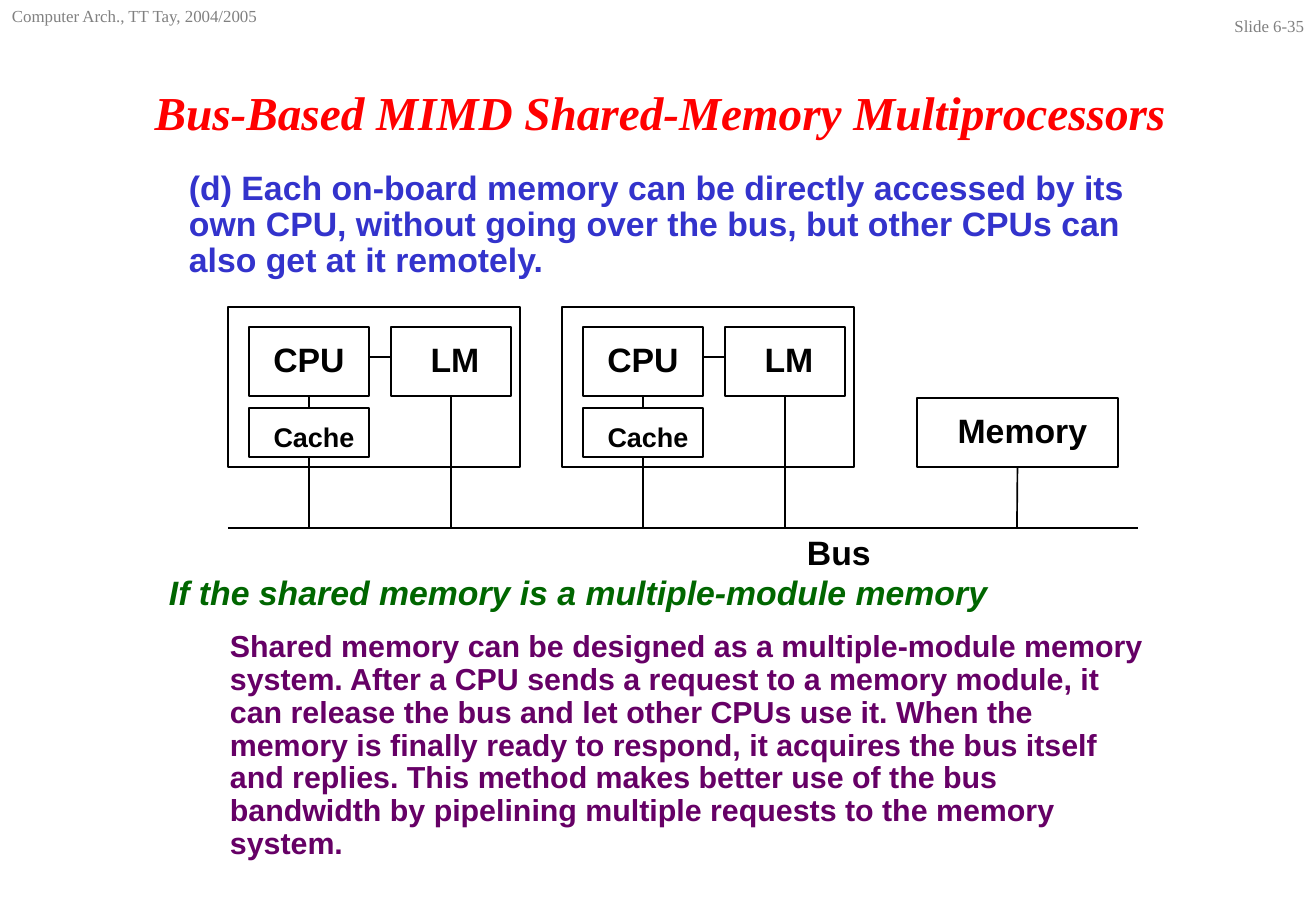
from pptx import Presentation
from pptx.dml.color import RGBColor
from pptx.enum.shapes import MSO_CONNECTOR as LINE, MSO_SHAPE as SHAPE
from pptx.enum.text import MSO_ANCHOR as ANCHOR, PP_ALIGN as ALIGN
from pptx.oxml.ns import qn
from pptx.util import Pt
from lxml.etree import SubElement

PX = 7526
SERIF, SANS = "Times New Roman", "Arial"
BLACK, GREY = "000000", "808080"
TOP, BOTTOM = 0, 2

HEADER = "Computer Arch., TT Tay, 2004/2005"
PAGE = "Slide 6-35"
TITLE = "Bus-Based MIMD Shared-Memory Multiprocessors"
INTRO = ("(d) Each on-board memory can be directly accessed by its own CPU, "
         "without going over the bus, but other CPUs can also get at it remotely.")
TOPIC = "If the shared memory is a multiple-module memory"
DETAIL = ("Shared memory can be designed as a multiple-module memory system. "
          "After a CPU sends a request to a memory module, it can release the bus "
          "and let other CPUs use it. When the memory is finally ready to respond, "
          "it acquires the bus itself and replies. This method makes better use of "
          "the bus bandwidth by pipelining multiple requests to the memory system.")

BOARD_LEFTS = (228, 562)
BOARD_TOP, BOARD_WIDTH, BOARD_HEIGHT = 307, 292, 160
UNIT_WIDTH, UNIT_HEIGHT, CACHE_HEIGHT = 120, 69, 49
CPU_LEFT, LM_LEFT, UNIT_TOP, CACHE_TOP = 21, 163, 20, 101
LINK_TOP = 50
BUS_LEFT, BUS_RIGHT, BUS_TOP = 228, 1138, 528

deck = Presentation()
deck.slide_width, deck.slide_height = 1316 * PX, 911 * PX
slide = deck.slides.add_slide(deck.slide_layouts[6])
shapes = slide.shapes


def colour(value):
    return RGBColor.from_string(value)


def style(paragraph, words, size, shade, face=SANS, bold=True, italic=False,
          align=ALIGN.LEFT, spacing=0.9):
    paragraph.text = words
    paragraph.alignment = align
    paragraph.line_spacing = spacing
    font = paragraph.font
    font.size, font.name, font.bold, font.italic = Pt(size), face, bold, italic
    font.color.rgb = colour(shade)


def text(left, top, width, height, words, size, shade, anchor=ANCHOR.TOP, **look):
    frame = shapes.add_textbox(left * PX, top * PX, width * PX, height * PX).text_frame
    frame.word_wrap = True
    frame.vertical_anchor = anchor
    style(frame.paragraphs[0], words, size, shade, **look)
    return frame


def box(left, top, width, height, label="", size=20, shift=0):
    rect = shapes.add_shape(SHAPE.RECTANGLE, left * PX, top * PX, width * PX, height * PX)
    rect.shadow.inherit = False
    rect.fill.background()
    rect.line.color.rgb = colour(BLACK)
    rect.line.width = Pt(1)
    if label:
        frame = rect.text_frame
        frame.vertical_anchor = ANCHOR.TOP
        frame.margin_left, frame.margin_right = 2 * shift * PX, 0
        frame.margin_top, frame.margin_bottom = 16 * PX, 0
        style(frame.paragraphs[0], label, size, BLACK, align=ALIGN.CENTER)
    return rect


def line(x1, y1, x2, y2):
    wire = shapes.add_connector(LINE.STRAIGHT, x1 * PX, y1 * PX, x2 * PX, y2 * PX)
    wire.line.color.rgb = colour(BLACK)
    wire.line.width = Pt(1)
    SubElement(wire._element.spPr, qn("a:effectLst"))
    return wire


def to_bus(unit):
    x = (unit.left + unit.width // 2) // PX
    line(x, (unit.top + unit.height) // PX, x, BUS_TOP).begin_connect(unit, BOTTOM)


def board(left):
    box(left, BOARD_TOP, BOARD_WIDTH, BOARD_HEIGHT)
    cpu_left, lm_left = left + CPU_LEFT, left + LM_LEFT
    unit_top, cache_top = BOARD_TOP + UNIT_TOP, BOARD_TOP + CACHE_TOP
    cpu = box(cpu_left, unit_top, UNIT_WIDTH, UNIT_HEIGHT, "CPU")
    cache = box(cpu_left, cache_top, UNIT_WIDTH, CACHE_HEIGHT, "Cache", size=16, shift=5)
    lm = box(lm_left, unit_top, UNIT_WIDTH, UNIT_HEIGHT, "LM", shift=4)
    link_y = BOARD_TOP + LINK_TOP
    line(cpu_left + UNIT_WIDTH, link_y, lm_left, link_y)
    middle = cpu_left + UNIT_WIDTH // 2
    cpu_cache = line(middle, unit_top + UNIT_HEIGHT, middle, cache_top)
    cpu_cache.begin_connect(cpu, BOTTOM)
    cpu_cache.end_connect(cache, TOP)
    to_bus(cache)
    to_bus(lm)


text(1194, 10, 122, 30, PAGE, 10, GREY, face=SERIF, bold=False,
     align=ALIGN.RIGHT, spacing=1.0)
text(0, 0, 295, 40, HEADER, 10, GREY, face=SERIF, bold=False, spacing=1.0)
text(101, 71, 1118, 81, TITLE, 28, "FF0000", anchor=ANCHOR.MIDDLE, face=SERIF,
     italic=True, align=ALIGN.CENTER, spacing=1.0)
text(177, 165, 982, 122, INTRO, 20, "3333CC")

for board_left in BOARD_LEFTS:
    board(board_left)
to_bus(box(917, 398, 201, 69, "Memory", shift=5))
line(BUS_LEFT, BUS_TOP, BUS_RIGHT, BUS_TOP)
text(795, 530, 152, 49, "Bus", 20, BLACK)

notes = text(157, 570, 1012, 297, TOPIC, 20, "006600", italic=True)
detail = notes.add_paragraph()
style(detail, DETAIL, 18, "660066")
detail.space_before = Pt(11.2)
detail.level = 1
detail._p.get_or_add_pPr().set("marL", str(61 * PX))

deck.save("out.pptx")
